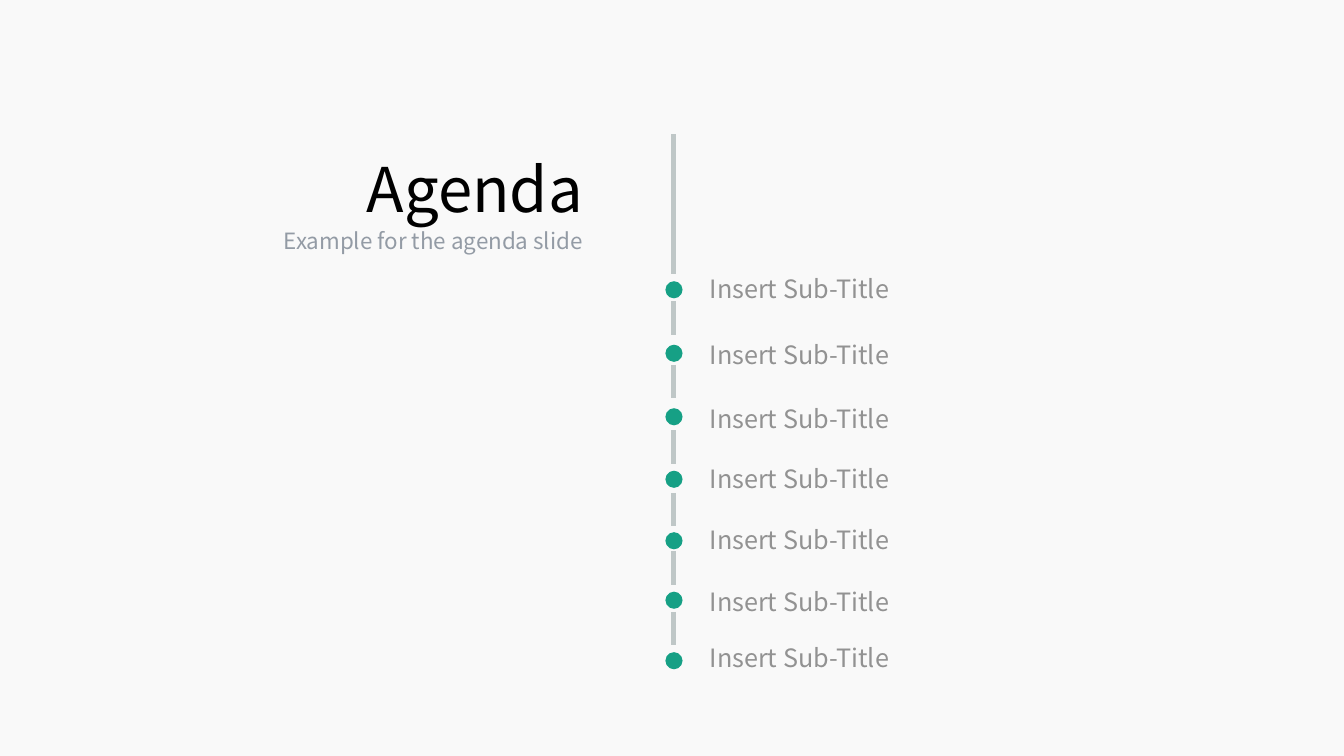
from pptx import Presentation
from pptx.dml.color import RGBColor
from pptx.enum.shapes import MSO_CONNECTOR as Conn, MSO_SHAPE as Shape
from pptx.enum.text import MSO_AUTO_SIZE as Fit, PP_ALIGN as Align
from pptx.oxml.ns import qn
from pptx.util import Inches, Pt
from lxml.etree import SubElement

PAPER = RGBColor(0xF9, 0xF9, 0xF9)
GREEN = RGBColor(0x16, 0xA0, 0x85)
RAIL = RGBColor(0xBF, 0xC7, 0xC7)
GRAY = RGBColor(0x92, 0x92, 0x92)
SLATE = RGBColor(0x93, 0x9B, 0xA5)
BLACK = RGBColor(0, 0, 0)

# Tops of dot and label, then start and end of the rail above the dot
STOPS = [
    (2.79, 2.66, 1.33, 2.72),
    (3.42, 3.32, 2.99, 3.32),
    (4.05, 3.95, 3.62, 3.95),
    (4.67, 4.55, 4.27, 4.60),
    (5.28, 5.15, 4.89, 5.22),
    (5.87, 5.77, 5.47, 5.80),
    (6.47, 6.32, 6.07, 6.40),
]


class Page:
    font = "Noto Sans CJK KR"

    def __init__(self, deck):
        self.slide = deck.slides.add_slide(deck.slide_layouts[6])
        fill = self.slide.background.fill
        fill.solid()
        fill.fore_color.rgb = PAPER

    def dot(self, left, top, size=0.17):
        dot = self.slide.shapes.add_shape(
            Shape.OVAL, Inches(left), Inches(top), Inches(size), Inches(size))
        dot.shadow.inherit = False
        dot.fill.solid()
        dot.fill.fore_color.rgb = GREEN
        dot.line.fill.background()

    def rail(self, x, start, end):
        rail = self.slide.shapes.add_connector(
            Conn.STRAIGHT, Inches(x), Inches(start), Inches(x), Inches(end))
        rail.line.color.rgb = RAIL
        rail.line.width = Pt(3)
        SubElement(rail._element.spPr, qn("a:effectLst"))

    def text(self, text, left, top, width, height, size=18, color=GRAY,
             align=Align.LEFT):
        box = self.slide.shapes.add_textbox(
            Inches(left), Inches(top), Inches(width), Inches(height))
        frame = box.text_frame
        frame.word_wrap = True
        frame.auto_size = Fit.SHAPE_TO_FIT_TEXT
        line = frame.paragraphs[0]
        line.alignment = align
        run = line.add_run()
        run.text = text
        run.font.name = self.font
        run.font.size = Pt(size)
        run.font.color.rgb = color


def main():
    deck = Presentation()
    deck.slide_width, deck.slide_height = Inches(13.33), Inches(7.5)
    page = Page(deck)

    # Timeline with its entries
    for dot, label, start, end in STOPS:
        page.rail(6.68, start, end)
        page.dot(6.6, dot)
        page.text("Insert Sub-Title", 6.94, label, 3.95, 0.4)

    # Heading
    page.text("Agenda", 2.82, 1.45, 3.06, 0.84,
              size=44, color=BLACK, align=Align.RIGHT)
    page.text("Example for the agenda slide", 2.02, 2.2, 3.86, 0.37,
              size=16, color=SLATE, align=Align.RIGHT)

    deck.save("out.pptx")


if __name__ == "__main__":
    main()
